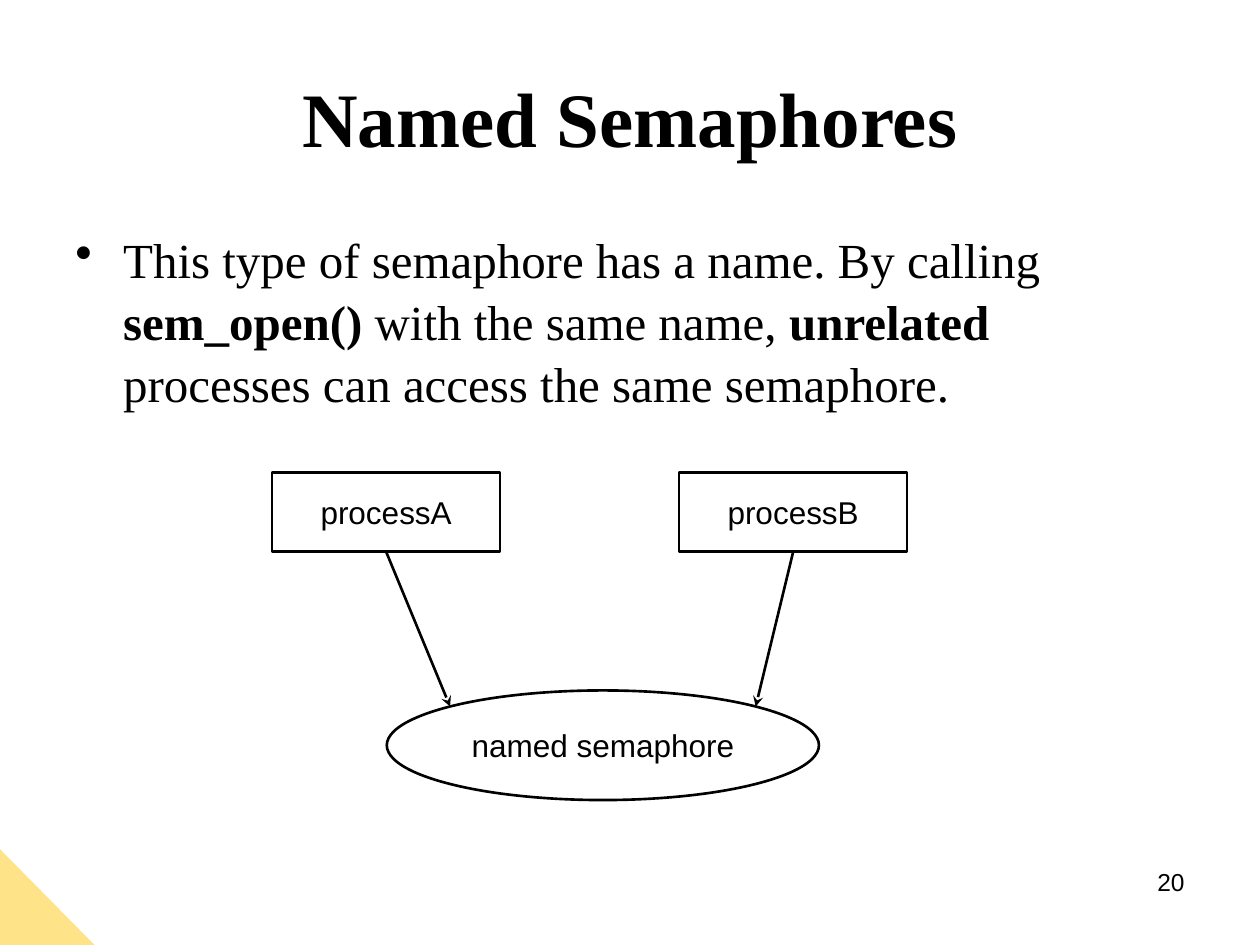
import math

import pptx
import pptx.dml.color
import pptx.enum.shapes
import pptx.enum.text
import pptx.oxml
import pptx.oxml.ns
import pptx.util

BLACK = pptx.dml.color.RGBColor(0x00, 0x00, 0x00)
YELLOW = pptx.dml.color.RGBColor(0xFF, 0xE3, 0x89)
SHAPES = pptx.enum.shapes.MSO_SHAPE
ALIGN = pptx.enum.text.PP_ALIGN
ANCHOR = pptx.enum.text.MSO_ANCHOR
SERIF, SANS = "Times New Roman", "Arial"
# The grid has square cells of a tenth of an inch.
COLUMNS, ROWS = 100, 75


def write_text(frame, spans, font=SANS, size=18, align=ALIGN.CENTER,
               anchor=ANCHOR.MIDDLE, spacing=None, bullet=None, indent=0):
    """Fill one paragraph with (text, bold) spans."""
    frame.word_wrap = True
    frame.vertical_anchor = anchor
    para = frame.paragraphs[0]
    para.alignment = align
    para.line_spacing = spacing
    for text, bold in spans:
        span = para.add_run()
        span.text = text
        span.font.name = font
        span.font.size = pptx.util.Pt(size)
        span.font.bold = bold
        span.font.color.rgb = BLACK
    if bullet:
        properties = para._p.get_or_add_pPr()
        margin = pptx.util.Inches(indent)
        properties.set("marL", str(margin))
        properties.set("indent", str(-margin))
        mark = pptx.oxml.parse_xml(
            f'<a:buChar {pptx.oxml.ns.nsdecls("a")} char="{bullet}"/>')
        properties.append(mark)


class Page:
    """Holds the line style and the current slide."""

    def __init__(self, deck, line_width=1.5):
        self.slide = deck.slides.add_slide(deck.slide_layouts[6])
        self.column = deck.slide_width / COLUMNS
        self.row = deck.slide_height / ROWS
        self.line_width = pptx.util.Pt(line_width)

    def place(self, column, row):
        return round(column * self.column), round(row * self.row)

    def text(self, left, top, width, height, spans, **style):
        box = self.slide.shapes.add_textbox(
            *self.place(left, top), *self.place(width, height))
        write_text(box.text_frame, spans, **style)

    def shape(self, kind, left, top, width, height, label=None, fill=None):
        shape = self.slide.shapes.add_shape(
            kind, *self.place(left, top), *self.place(width, height))
        shape.shadow.inherit = False
        if fill is None:
            shape.fill.background()
            shape.line.color.rgb = BLACK
            shape.line.width = self.line_width
        else:
            shape.fill.solid()
            shape.fill.fore_color.rgb = fill
            shape.line.fill.background()
        if label:
            write_text(shape.text_frame, [(label, False)])

    def arrow(self, start, end):
        arrow = self.slide.shapes.add_connector(
            pptx.enum.shapes.MSO_CONNECTOR.STRAIGHT,
            *self.place(*start), *self.place(*end))
        arrow.line.color.rgb = BLACK
        arrow.line.width = self.line_width
        names = pptx.oxml.ns.nsdecls("a")
        arrow.line._get_or_add_ln().append(
            pptx.oxml.parse_xml(f'<a:tailEnd {names} type="stealth"/>'))
        arrow._element.spPr.append(
            pptx.oxml.parse_xml(f"<a:effectLst {names}/>"))


def main():
    deck = pptx.Presentation()
    deck.slide_width = pptx.util.Inches(10)
    deck.slide_height = pptx.util.Inches(7.5)
    page = Page(deck)

    # Title and body
    page.text(5, 3, 90, 12.5, [("Named Semaphores", True)],
              font=SERIF, size=44)
    body = [
        ("This type of semaphore has a name. By calling ", False),
        ("sem_open()", True),
        (" with the same name, ", False),
        ("unrelated", True),
        (" processes can access the same semaphore.", False),
    ]
    page.text(5, 17.5, 90, 49.5, body, font=SERIF, size=28, align=ALIGN.LEFT,
              anchor=ANCHOR.TOP, spacing=1.05, bullet="•", indent=0.38)

    # Semaphore shared by the two processes
    left, top, width, height = 30.7, 54.8, 34.3, 8.7
    page.shape(SHAPES.OVAL, left, top, width, height, "named semaphore")
    center = left + width / 2
    reach = width / 2 * math.cos(math.pi / 4)
    arrow_end = top + height / 2 * (1 - math.sin(math.pi / 4))

    # Processes, each with an arrow to its side of the semaphore
    box_top, box_width, box_height = 37.5, 18.1, 6.3
    for label, box_left, side in (("processA", 21.6, -1),
                                  ("processB", 53.9, 1)):
        page.shape(SHAPES.RECTANGLE, box_left, box_top,
                   box_width, box_height, label)
        page.arrow((box_left + box_width / 2, box_top + box_height),
                   (center + side * reach, arrow_end))

    # Corner triangle and page number
    page.shape(SHAPES.RIGHT_TRIANGLE, 0, 67.4, 7.5, 7.6, fill=YELLOW)
    page.text(71.7, 68.3, 23.3, 5.2, [("20", False)], size=14,
              align=ALIGN.RIGHT, anchor=ANCHOR.TOP)

    deck.save("out.pptx")


if __name__ == "__main__":
    main()
